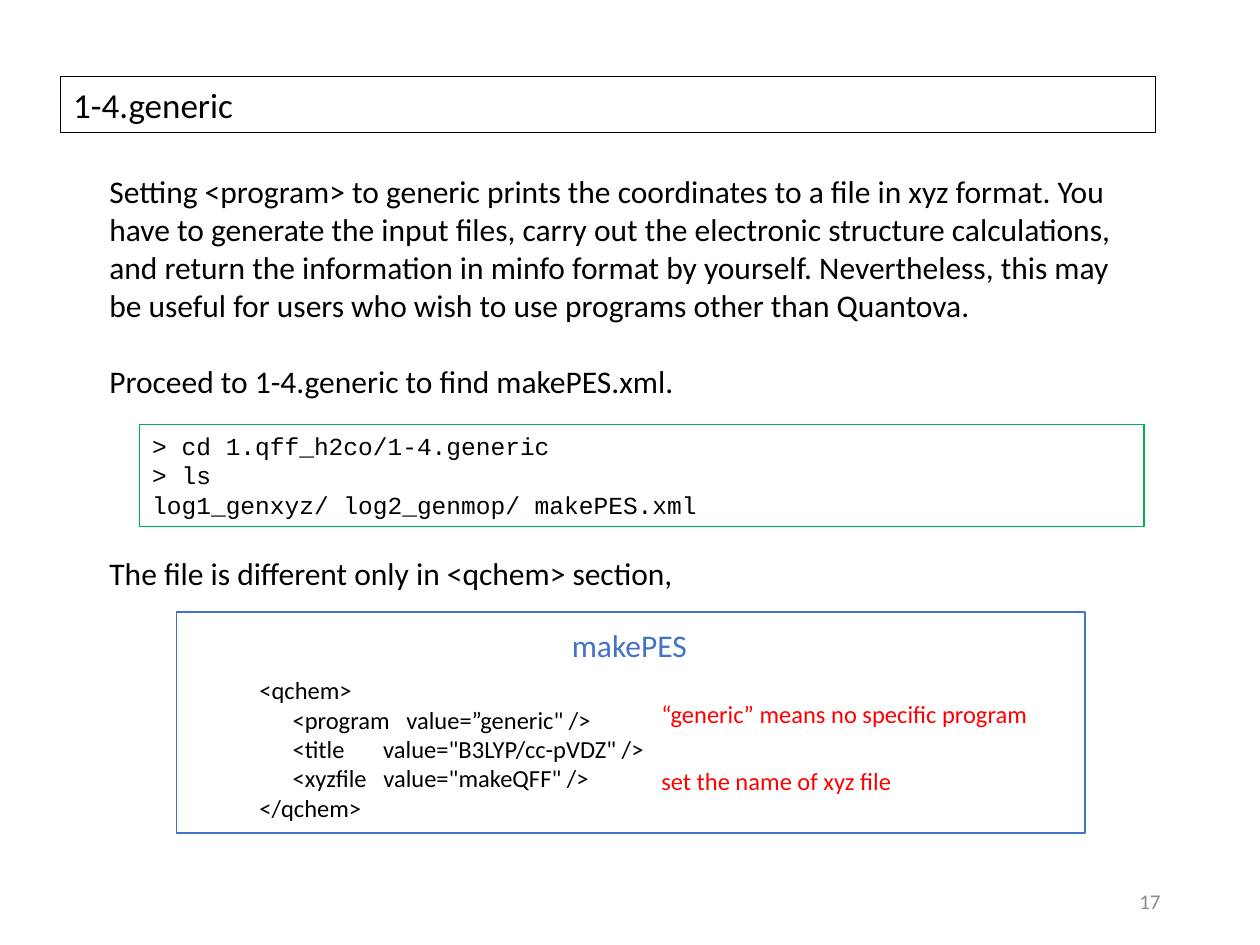
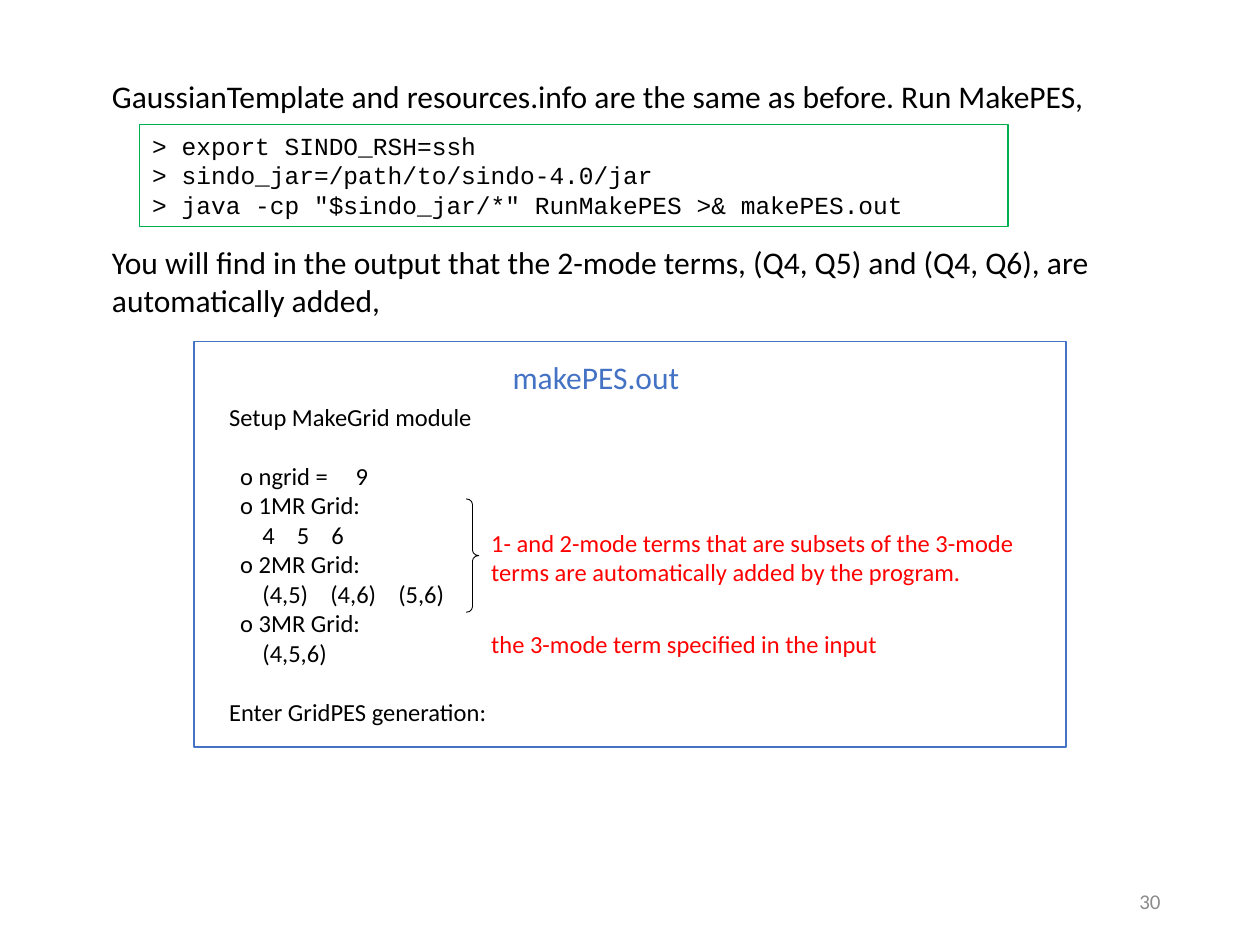
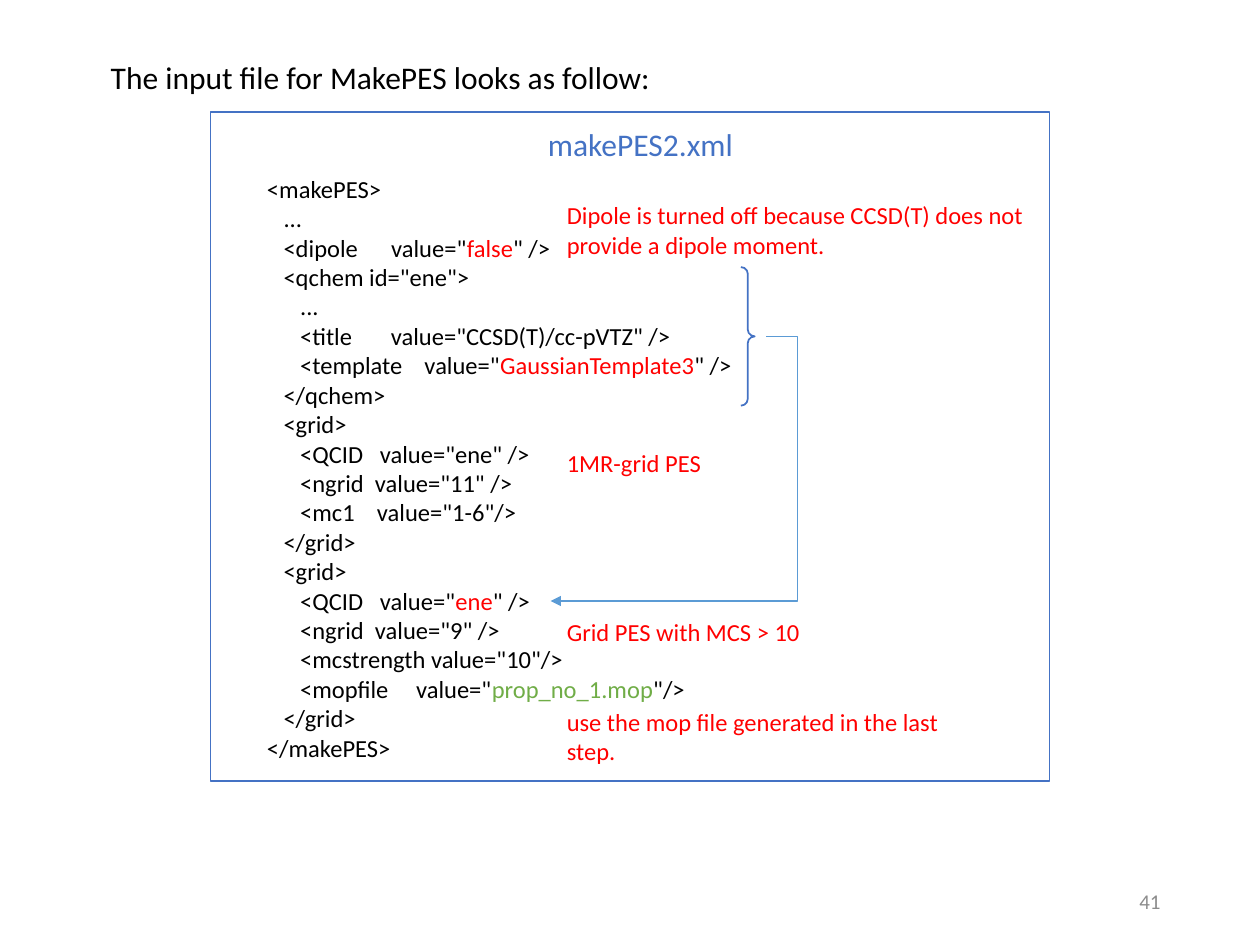
from dataclasses import dataclass
from typing import NamedTuple

from lxml.etree import SubElement
from pptx import Presentation
from pptx.dml.color import RGBColor
from pptx.enum.shapes import MSO_SHAPE
from pptx.enum.text import MSO_ANCHOR, MSO_AUTO_SIZE, PP_ALIGN
from pptx.oxml.ns import qn
from pptx.util import Emu, Pt

PX = 9144  # 100 px to the inch


@dataclass(frozen=True)
class Theme:
    black: RGBColor = RGBColor(0x00, 0x00, 0x00)
    red: RGBColor = RGBColor(0xFF, 0x00, 0x00)
    blue: RGBColor = RGBColor(0x44, 0x72, 0xC4)
    sky: RGBColor = RGBColor(0x5B, 0x9B, 0xD5)
    green: RGBColor = RGBColor(0x00, 0xB0, 0x50)
    leaf: RGBColor = RGBColor(0x70, 0xAD, 0x47)
    gray: RGBColor = RGBColor(0x8C, 0x8C, 0x8C)
    sans: str = "Calibri"
    mono: str = "Courier New"
    title: int = 20
    body: int = 18
    code: int = 14
    foot: int = 12
    thin: float = 0.75
    thick: float = 1


THEME = Theme()


class Box(NamedTuple):
    left: int
    top: int
    width: int
    height: int


class Line(NamedTuple):
    """A paragraph: space before in points, and a marked word with its colour."""
    text: str
    gap: int = 0
    mark: str = ""
    hue: RGBColor = THEME.red


class Style(NamedTuple):
    size: int
    hue: RGBColor = THEME.black
    font: str = THEME.sans
    wrap: bool = True
    align: PP_ALIGN = PP_ALIGN.LEFT
    anchor: MSO_ANCHOR = MSO_ANCHOR.TOP


PROSE = Style(THEME.body)
NOTE = Style(THEME.code, THEME.red)
CODE = Style(THEME.code, wrap=False)
HEAD = Style(THEME.body, THEME.blue, wrap=False)
SHELL = Style(THEME.code, font=THEME.mono)
TITLE = Style(THEME.title, anchor=MSO_ANCHOR.MIDDLE)
FOOT = Style(THEME.foot, THEME.gray, align=PP_ALIGN.RIGHT, anchor=MSO_ANCHOR.MIDDLE)


# Text and outlines
def emus(box: Box) -> list[Emu]:
    return [Emu(n * PX) for n in box]


def write(shape, lines: list[Line], style: Style) -> None:
    frame = shape.text_frame
    frame.auto_size = MSO_AUTO_SIZE.NONE
    frame.word_wrap = style.wrap
    frame.vertical_anchor = style.anchor
    frame.text = "\n".join(line.text for line in lines)
    for para, line in zip(frame.paragraphs, lines):
        para.alignment = style.align
        if line.gap:
            para.space_before = Pt(line.gap)
        if line.mark:
            first, word, rest = line.text.partition(line.mark)
            para.runs[0].text = first
            para.add_run().text = word
            para.add_run().text = rest
        for run in para.runs:
            run.font.name = style.font
            run.font.size = Pt(style.size)
            marked = line.mark and run.text == line.mark
            run.font.color.rgb = line.hue if marked else style.hue


def stroke(shape, hue: RGBColor, width: float) -> None:
    shape.shadow.inherit = False
    shape.fill.background()
    shape.line.color.rgb = hue
    shape.line.width = Pt(width)


def text(slide, box: Box, lines: list[Line], style: Style) -> None:
    write(slide.shapes.add_textbox(*emus(box)), lines, style)


def note(slide, box: Box, words: str) -> None:
    text(slide, box, [Line(words)], NOTE)


# Parts of a slide
def start(deck, number: int, title: str = ""):
    slide = deck.slides.add_slide(deck.slide_layouts[5 if title else 6])
    if title:
        head = slide.shapes.title
        head.left, head.top, head.width, head.height = emus(Box(48, 61, 869, 44))
        head.fill.background()
        head.line.color.rgb = THEME.black
        head.line.width = Pt(THEME.thin)
        write(head, [Line(title)], TITLE)
    text(slide, Box(706, 695, 225, 40), [Line(str(number))], FOOT)
    return slide


def shell(slide, box: Box, lines: list[Line]) -> None:
    shape = slide.shapes.add_shape(MSO_SHAPE.RECTANGLE, *emus(box))
    stroke(shape, THEME.green, THEME.thin)
    write(shape, lines, SHELL)


def panel(slide, box: Box, name: str, head: Box, area: Box, lines: list[Line]) -> None:
    frame = slide.shapes.add_shape(MSO_SHAPE.RECTANGLE, *emus(box))
    stroke(frame, THEME.blue, THEME.thick)
    text(slide, head, [Line(name)], HEAD)
    text(slide, area, lines, CODE)


def brace(slide, box: Box, bend: float, hue: RGBColor, width: float) -> None:
    shape = slide.shapes.add_shape(MSO_SHAPE.RIGHT_BRACE, *emus(box))
    shape.adjustments[0] = bend
    stroke(shape, hue, width)


def arrow(slide, points: list[tuple[int, int]]) -> None:
    pen = slide.shapes.build_freeform(*points[0], scale=PX)
    pen.add_line_segments(points[1:], close=False)
    shape = pen.convert_to_shape()
    stroke(shape, THEME.sky, THEME.thick)
    SubElement(shape.line._get_or_add_ln(), qn("a:tailEnd"), type="triangle")


# Slides
def generic(deck) -> None:
    slide = start(deck, 17, "1-4.generic")
    text(slide, Box(77, 132, 844, 343), [
        Line("Setting <program> to generic prints the coordinates to a file in xyz "
             "format. You have to generate the input files, carry out the electronic "
             "structure calculations, and return the information in minfo format by "
             "yourself. Nevertheless, this may be useful for users who wish to use "
             "programs other than Quantova."),
        Line("Proceed to 1-4.generic to find makePES.xml.", gap=22),
        Line("The file is different only in <qchem> section,", gap=88),
    ], PROSE)
    shell(slide, Box(111, 337, 797, 81), [
        Line("> cd 1.qff_h2co/1-4.generic"),
        Line("> ls"),
        Line("log1_genxyz/ log2_genmop/ makePES.xml"),
    ])
    panel(slide, Box(140, 486, 721, 175), "makePES",
          Box(444, 492, 112, 40), Box(196, 531, 328, 128), [
              Line('<qchem>'),
              Line('      <program   value=”generic" />'),
              Line('      <title       value="B3LYP/cc-pVDZ" />'),
              Line('      <xyzfile   value="makeQFF" />'),
              Line('</qchem>'),
          ])
    note(slide, Box(515, 550, 313, 34), "“generic” means no specific program")
    note(slide, Box(515, 603, 313, 34), "set the name of xyz file")


def output(deck) -> None:
    slide = start(deck, 30)
    text(slide, Box(79, 56, 827, 40), [
        Line("GaussianTemplate and resources.info are the same as before. Run MakePES,"),
    ], PROSE)
    shell(slide, Box(111, 99, 689, 81), [
        Line('> export SINDO_RSH=ssh'),
        Line('> sindo_jar=/path/to/sindo-4.0/jar'),
        Line('> java -cp "$sindo_jar/*" RunMakePES >& makePES.out'),
    ])
    text(slide, Box(79, 188, 827, 71), [
        Line("You will find in the output that the 2-mode terms, (Q4, Q5) and "
             "(Q4, Q6), are automatically added,"),
    ], PROSE)
    panel(slide, Box(154, 271, 692, 322), "makePES.out",
          Box(397, 279, 154, 40), Box(172, 314, 227, 269), [
              Line("Setup MakeGrid module"),
              Line("  o ngrid =     9", gap=17),
              Line("  o 1MR Grid:"),
              Line("      4    5    6"),
              Line("  o 2MR Grid:"),
              Line("      (4,5)    (4,6)    (5,6)"),
              Line("  o 3MR Grid:"),
              Line("      (4,5,6)"),
              Line("Enter GridPES generation:", gap=17),
          ])
    brace(slide, Box(370, 396, 10, 90), 0.43, THEME.black, 0.5)
    note(slide, Box(380, 414, 458, 57),
         "1- and 2-mode terms that are subsets of the 3-mode terms are "
         "automatically added by the program.")
    note(slide, Box(380, 494, 458, 34), "the 3-mode term specified in the input")


def source(deck) -> None:
    slide = start(deck, 41)
    text(slide, Box(78, 41, 832, 40),
         [Line("The input file for MakePES looks as follow:")], PROSE)
    panel(slide, Box(167, 89, 666, 531), "makePES2.xml",
          Box(425, 94, 168, 40), Box(202, 133, 392, 481), [
              Line('<makePES>'),
              Line('   ...'),
              Line('   <dipole      value="false" />', mark="false"),
              Line('   <qchem id="ene">'),
              Line('      ...'),
              Line('      <title       value="CCSD(T)/cc-pVTZ" />'),
              Line('      <template    value="GaussianTemplate3" />',
                   mark="GaussianTemplate3"),
              Line('   </qchem>'),
              Line('   <grid>'),
              Line('      <QCID   value="ene" />'),
              Line('      <ngrid  value="11" />'),
              Line('      <mc1    value="1-6"/>'),
              Line('   </grid>'),
              Line('   <grid>'),
              Line('      <QCID   value="ene" />', mark="ene"),
              Line('      <ngrid  value="9" />'),
              Line('      <mcstrength value="10"/>'),
              Line('      <mopfile     value="prop_no_1.mop"/>',
                   mark="prop_no_1.mop", hue=THEME.leaf),
              Line('   </grid>'),
              Line('</makePES>'),
          ])
    brace(slide, Box(588, 212, 11, 110), 0.49, THEME.blue, THEME.thick)
    arrow(slide, [(608, 267), (633, 267), (633, 477), (437, 477)])
    note(slide, Box(440, 154, 435, 57),
         "Dipole is turned off because CCSD(T) does not provide a dipole moment.")
    note(slide, Box(440, 351, 144, 34), "1MR-grid PES")
    note(slide, Box(440, 485, 228, 34), "Grid PES with MCS > 10")
    note(slide, Box(440, 556, 353, 57), "use the mop file generated in the last step.")


def main() -> None:
    deck = Presentation()
    deck.slide_width, deck.slide_height = Emu(1000 * PX), Emu(750 * PX)
    for build in (generic, output, source):
        build(deck)
    deck.save("out.pptx")


if __name__ == "__main__":
    main()
